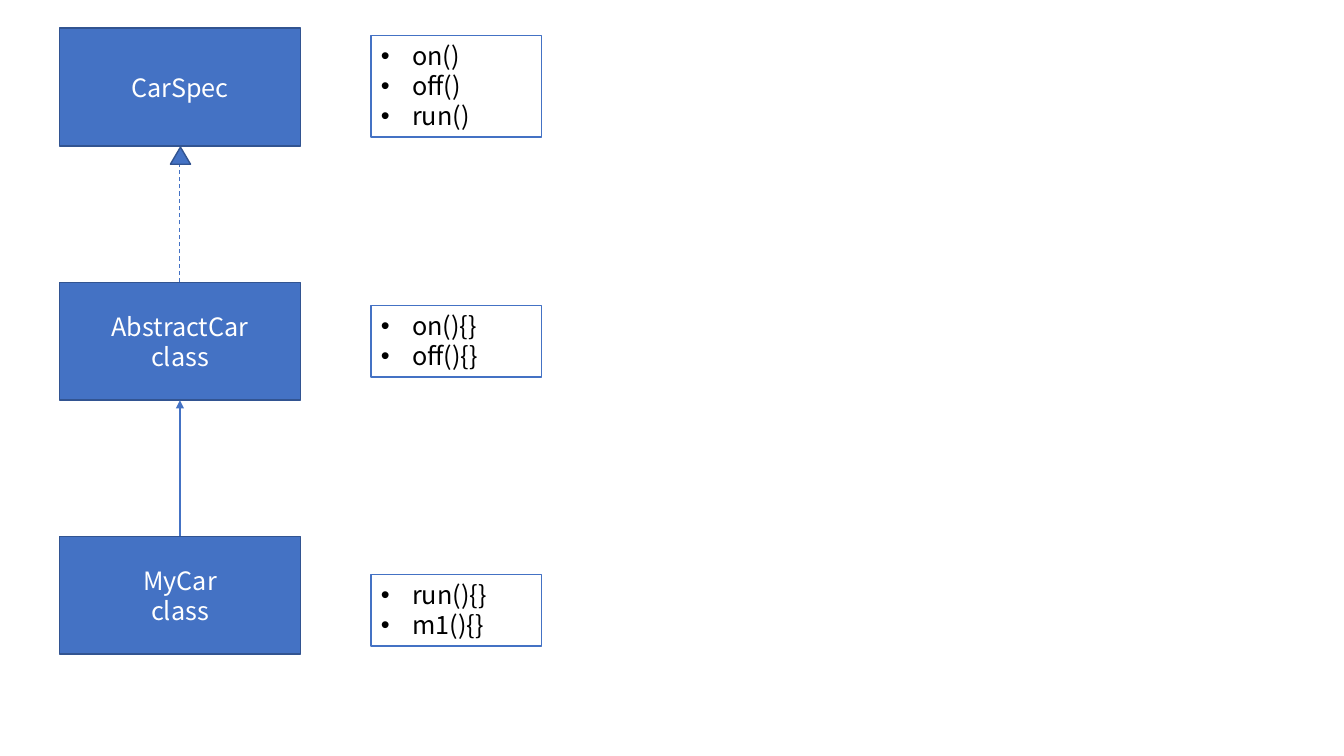
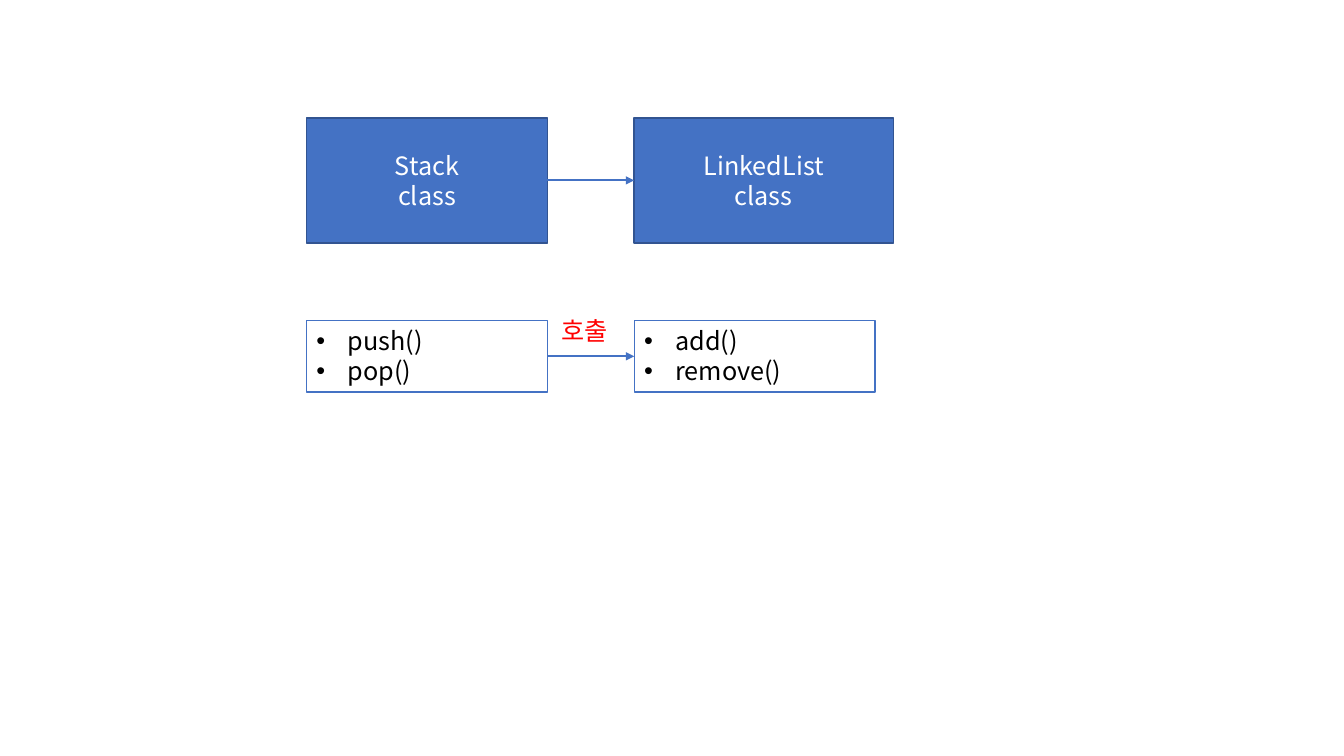
"""Class diagrams of a car hierarchy and a stack built on a linked list."""
from dataclasses import dataclass

from pptx import Presentation
from pptx.dml.color import RGBColor as Color
from pptx.enum.dml import MSO_LINE as Dash
from pptx.enum.shapes import MSO_CONNECTOR as Connector, MSO_SHAPE as Shape
from pptx.enum.text import MSO_ANCHOR as Anchor, PP_ALIGN as Align
from pptx.oxml.ns import qn
from pptx.util import Emu, Pt
from lxml.etree import SubElement

PX = 9144
TOP, LEFT, BOTTOM, RIGHT = range(4)


@dataclass(frozen=True)
class Theme:
    """Colours, font, type size and line widths shared by the slides."""
    blue: str = "4472C4"
    navy: str = "325491"
    white: str = "FFFFFF"
    black: str = "000000"
    red: str = "FF0000"
    font: str = "Noto Sans CJK KR"
    size: int = 18
    outline: float = 1
    arrow: float = 1.5
    dashed: float = 0.75


def px(*lengths):
    """Turn whole px lengths into EMU."""
    return [Emu(length * PX) for length in lengths]


def write(shape, text, theme, color, align=Align.LEFT, anchor=Anchor.TOP, bullet=False):
    """Fill a shape with one paragraph for each line of text."""
    frame = shape.text_frame
    frame.word_wrap = True
    frame.vertical_anchor = anchor
    for index, line in enumerate(text.split("\n")):
        para = frame.add_paragraph() if index else frame.paragraphs[0]
        para.alignment = align
        if bullet:
            indent = px(31)[0]
            properties = para._p.get_or_add_pPr()
            properties.set("marL", str(indent))
            properties.set("indent", str(-indent))
            SubElement(properties, qn("a:buFont"), typeface="Arial")
            SubElement(properties, qn("a:buChar"), char="•")
        span = para.add_run()
        span.text = line
        span.font.size = Pt(theme.size)
        span.font.color.rgb = Color.from_string(color)
        span.font.name = theme.font
        SubElement(span._r.get_or_add_rPr(), qn("a:ea"), typeface=theme.font)


class Diagram:
    """Hold the deck, its theme and the current page."""

    def __init__(self, theme):
        """Start an empty widescreen deck."""
        self.theme = theme
        self.deck = Presentation()
        self.deck.slide_width, self.deck.slide_height = px(1333, 750)
        self.page = None

    def new_page(self):
        """Add a blank page and make it current."""
        self.page = self.deck.slides.add_slide(self.deck.slide_layouts[6])

    def shape(self, kind, place, fill, line):
        """Draw a filled and outlined preset shape."""
        shape = self.page.shapes.add_shape(kind, *px(*place))
        shape.shadow.inherit = False
        shape.fill.solid()
        shape.fill.fore_color.rgb = Color.from_string(fill)
        shape.line.color.rgb = Color.from_string(line)
        shape.line.width = Pt(self.theme.outline)
        return shape

    def class_box(self, text, *place):
        """Draw a blue box with a centred class name."""
        theme = self.theme
        box = self.shape(Shape.RECTANGLE, place, theme.blue, theme.navy)
        write(box, text, theme, theme.white, align=Align.CENTER, anchor=Anchor.MIDDLE)
        return box

    def member_box(self, text, *place):
        """Draw a white box with a bulleted method list."""
        theme = self.theme
        box = self.shape(Shape.RECTANGLE, place, theme.white, theme.blue)
        write(box, text, theme, theme.black, bullet=True)
        return box

    def triangle(self, *place):
        """Draw the head of an implementation link."""
        self.shape(Shape.ISOSCELES_TRIANGLE, place, self.theme.blue, self.theme.navy)

    def label(self, text, *place):
        """Write a red caption."""
        box = self.page.shapes.add_textbox(*px(*place))
        write(box, text, self.theme, self.theme.red)

    def link(self, start, start_site, end, end_site, dashed=False):
        """Join two boxes with an arrow or a plain dashed line."""
        line = self.page.shapes.add_connector(Connector.STRAIGHT, 0, 0, 0, 0)
        line.begin_connect(start, start_site)
        line.end_connect(end, end_site)
        line.line.color.rgb = Color.from_string(self.theme.blue)
        line.line.width = Pt(self.theme.dashed if dashed else self.theme.arrow)
        if dashed:
            line.line.dash_style = Dash.DASH
        else:
            SubElement(line.line._get_or_add_ln(), qn("a:tailEnd"), type="triangle")
        SubElement(line._element.spPr, qn("a:effectLst"))


def car_page(diagram):
    """Draw the car specification and the classes below it."""
    diagram.new_page()
    rows = [
        ("CarSpec", "on()\noff()\nrun()", 35, 101),
        ("AbstractCar\nclass", "on(){}\noff(){}", 303, 71),
        ("MyCar\nclass", "run(){}\nm1(){}", 570, 71),
    ]
    boxes = []
    for index, (name, members, top, height) in enumerate(rows):
        boxes.append(diagram.class_box(name, 59, 28 + 252 * index, 239, 117))
        diagram.member_box(members, 368, top, 169, height)
    spec_box, abstract_box, car_box = boxes
    diagram.link(abstract_box, TOP, spec_box, BOTTOM, dashed=True)
    diagram.triangle(169, 146, 20, 17)
    diagram.link(car_box, TOP, abstract_box, BOTTOM)


def stack_page(diagram):
    """Draw the stack that calls a linked list."""
    diagram.new_page()
    columns = [
        ("Stack\nclass", "push()\npop()", 304, 239),
        ("LinkedList\nclass", "add()\nremove()", 629, 257),
    ]
    classes, members = [], []
    for name, methods, left, width in columns:
        classes.append(diagram.class_box(name, left, 117, width, 124))
        members.append(diagram.member_box(methods, left, 318, 239, 71))
    for start, end in (classes, members):
        diagram.link(start, RIGHT, end, LEFT)
    diagram.label("호출", 547, 308, 83, 40)


def main():
    """Build and save the deck."""
    diagram = Diagram(Theme())
    car_page(diagram)
    stack_page(diagram)
    diagram.deck.save("out.pptx")


if __name__ == "__main__":
    main()
